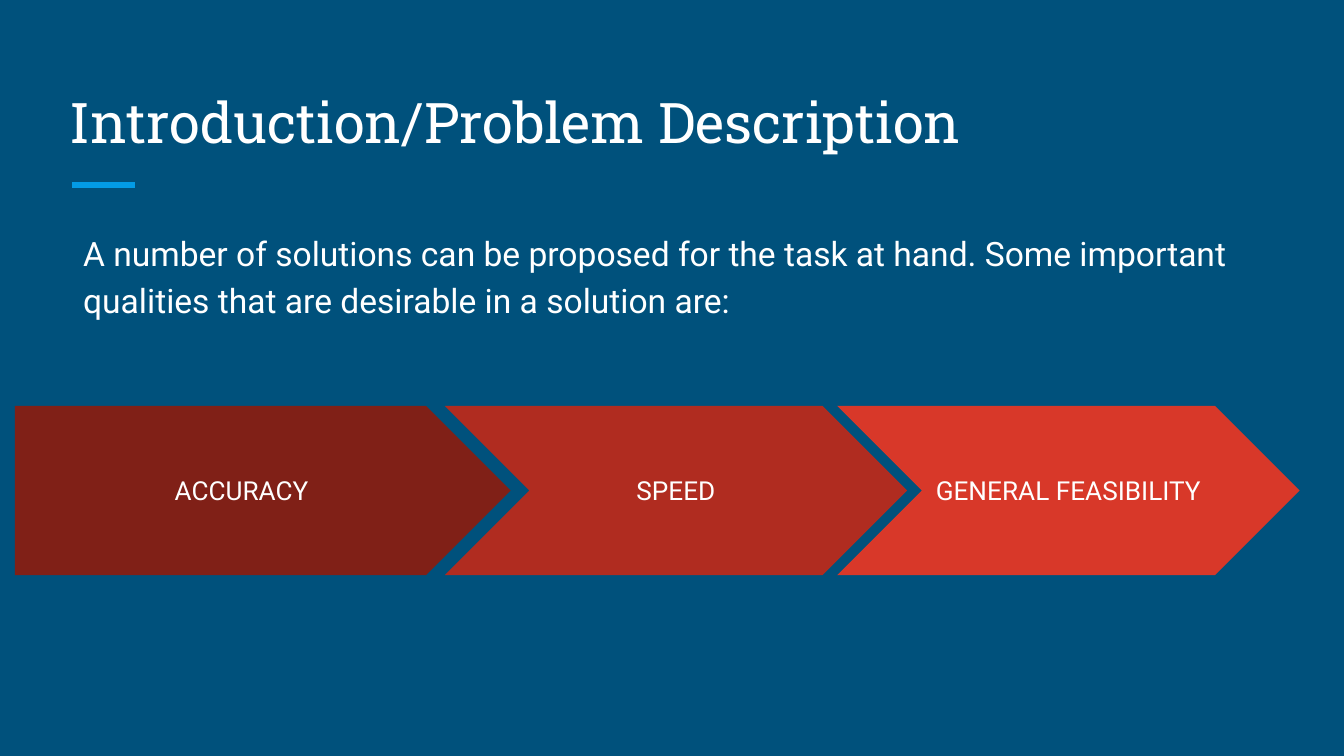
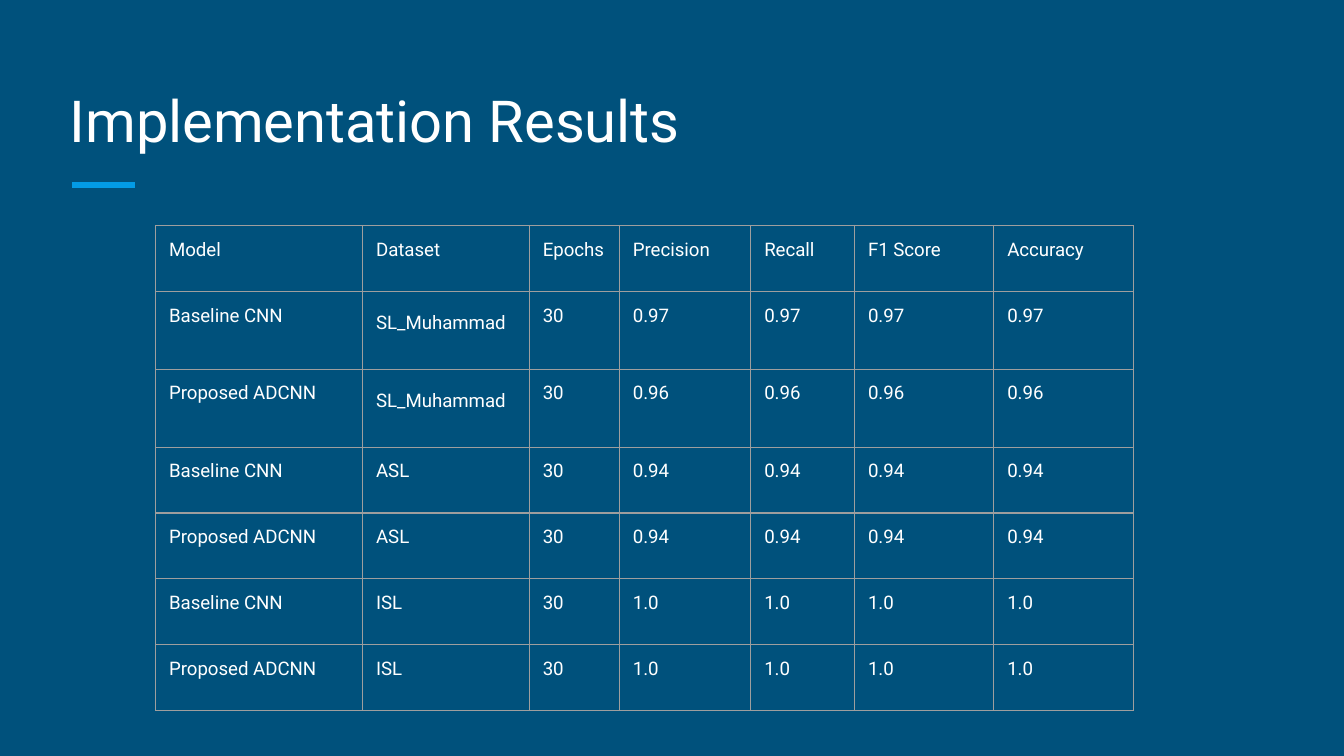
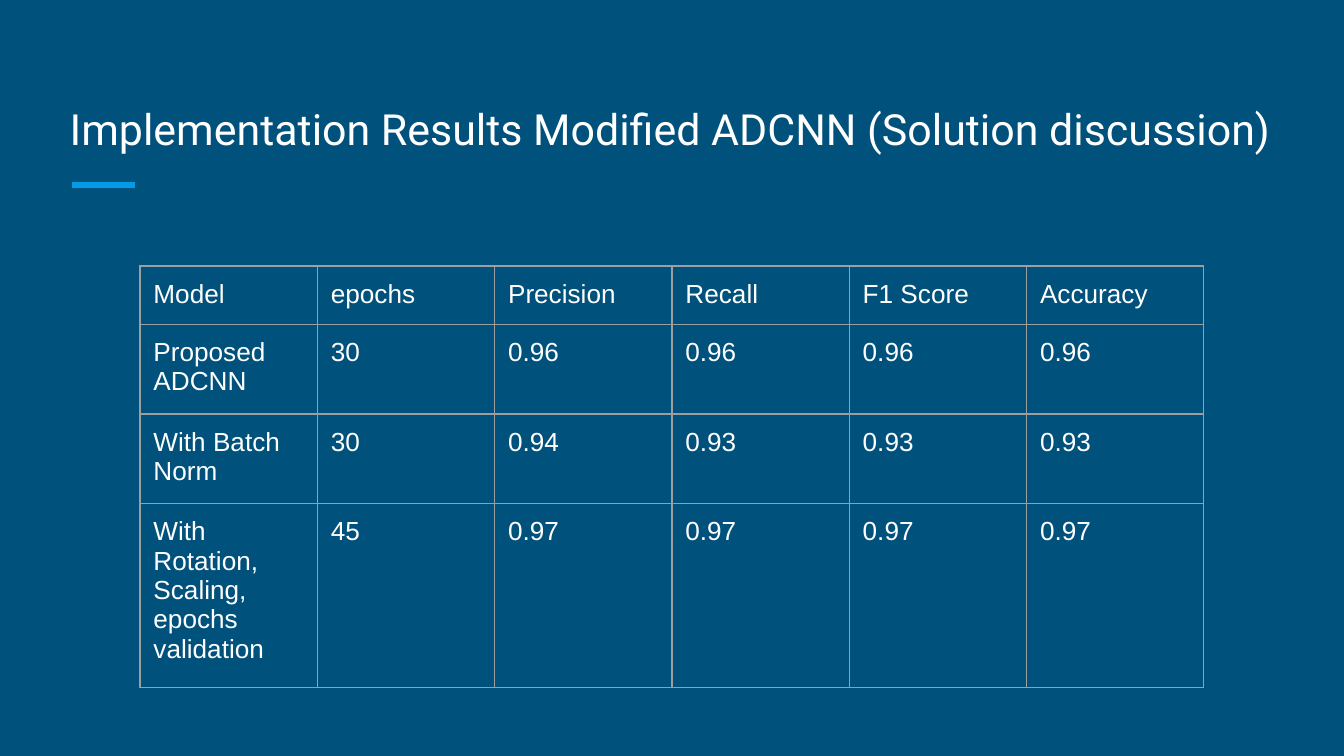
from dataclasses import dataclass

from lxml.etree import SubElement
from pptx import Presentation
from pptx.dml.color import RGBColor
from pptx.enum.shapes import MSO_CONNECTOR, MSO_SHAPE
from pptx.enum.text import MSO_ANCHOR, PP_ALIGN
from pptx.oxml import parse_xml
from pptx.oxml.ns import nsdecls, qn
from pptx.presentation import Presentation as PresentationType
from pptx.slide import Slide
from pptx.table import Table, _Cell
from pptx.text.text import TextFrame
from pptx.util import Pt


@dataclass(frozen=True)
class Theme:
    background: str = "00517C"
    text: str = "FFFFFF"
    accent: str = "039BE5"
    border: str = "9E9E9E"
    dark_red: str = "802017"
    middle_red: str = "B02C20"
    bright_red: str = "D83829"
    sans: str = "Roboto"
    slab: str = "Roboto Slab"
    table_sans: str = "Arial"
    title_size: float = 30
    large_title_size: float = 31
    small_title_size: float = 23
    body_size: float = 18
    label_size: float = 14
    small_size: float = 10
    inset: float = 7.2
    border_width: float = 0.75


THEME = Theme()


@dataclass(frozen=True)
class TextStyle:
    font: str
    size: float
    alignment: PP_ALIGN = PP_ALIGN.LEFT
    anchor: MSO_ANCHOR = MSO_ANCHOR.TOP
    line_spacing: float | None = None


@dataclass(frozen=True)
class Box:
    left: float
    top: float
    width: float
    height: float


@dataclass(frozen=True)
class Step:
    label: str
    outline: MSO_SHAPE
    color: str
    left: float
    width: float


@dataclass(frozen=True)
class ResultTable:
    left: float
    top: float
    column_widths: list[float]
    row_heights: list[float]
    rows: list[tuple[str, ...]]
    style: TextStyle


TITLE_BOX = Box(30.24, 36, 658.8, 54)
BODY_BOX = Box(37.44, 114.48, 658.8, 242.64)

# Process steps: equal chevrons after a wider starting plate
STEP_TOP, STEP_HEIGHT = 217.44, 90.72
CHEVRON_LEFT, CHEVRON_WIDTH, CHEVRON_PITCH = 238.32, 247.68, 210.24
STEPS = [
    Step("ACCURACY", MSO_SHAPE.PENTAGON, THEME.dark_red, 7.92, 265.68),
    Step("SPEED", MSO_SHAPE.CHEVRON, THEME.middle_red, CHEVRON_LEFT, CHEVRON_WIDTH),
    Step("GENERAL FEASIBILITY", MSO_SHAPE.CHEVRON, THEME.bright_red,
         CHEVRON_LEFT + CHEVRON_PITCH, CHEVRON_WIDTH),
]

# Results by dataset: all four scores agree within a row
METRICS = ("Precision", "Recall", "F1 Score", "Accuracy")
MODEL_SCORES = [
    ("Baseline CNN", "SL_Muhammad", "0.97"),
    ("Proposed ADCNN", "SL_Muhammad", "0.96"),
    ("Baseline CNN", "ASL", "0.94"),
    ("Proposed ADCNN", "ASL", "0.94"),
    ("Baseline CNN", "ISL", "1.0"),
    ("Proposed ADCNN", "ISL", "1.0"),
]
DATASET_RESULTS = ResultTable(
    left=83.4, top=120.8,
    column_widths=[110.9, 89.3, 48.3, 70.4, 55.6, 74.6, 74.9],
    row_heights=[35.28, 41.76, 41.76] + [35.28] * 4,
    rows=[("Model", "Dataset", "Epochs", *METRICS)]
    + [(model, dataset, "30", *[score] * len(METRICS))
       for model, dataset, score in MODEL_SCORES],
    style=TextStyle(THEME.sans, THEME.small_size),
)
LOOSE_LINE_SPACING = 1.36

MODIFIED_RESULTS = ResultTable(
    left=75, top=142.5,
    column_widths=[95] * 6,
    row_heights=[30.24] * 4,
    rows=[
        ("Model", "epochs", *METRICS),
        ("Proposed ADCNN", "30", "0.96", "0.96", "0.96", "0.96"),
        ("With Batch Norm", "30", "0.94", "0.93", "0.93", "0.93"),
        ("With Rotation,\nScaling, epochs validation", "45", "0.97", "0.97", "0.97", "0.97"),
    ],
    style=TextStyle(THEME.table_sans, THEME.label_size),
)


def color_of(value: str) -> RGBColor:
    return RGBColor.from_string(value)


def write_text(frame: TextFrame, text: str, style: TextStyle) -> None:
    frame.text = text
    for paragraph in frame.paragraphs:
        paragraph.alignment = style.alignment
        if style.line_spacing:
            paragraph.line_spacing = style.line_spacing
        paragraph.font.name = style.font
        paragraph.font.size = Pt(style.size)
        paragraph.font.color.rgb = color_of(THEME.text)


def set_frame(frame: TextFrame, anchor: MSO_ANCHOR) -> None:
    frame.word_wrap = True
    frame.vertical_anchor = anchor
    frame.margin_left = frame.margin_right = Pt(THEME.inset)
    frame.margin_top = frame.margin_bottom = Pt(THEME.inset)


def add_text(slide: Slide, box: Box, text: str, style: TextStyle) -> None:
    shape = slide.shapes.add_textbox(Pt(box.left), Pt(box.top), Pt(box.width), Pt(box.height))
    set_frame(shape.text_frame, style.anchor)
    write_text(shape.text_frame, text, style)


def add_titled_slide(presentation: PresentationType, title: str, font: str, size: float) -> Slide:
    slide = presentation.slides.add_slide(presentation.slide_layouts[6])
    slide.background.fill.solid()
    slide.background.fill.fore_color.rgb = color_of(THEME.background)
    # Accent rule under the title
    rule = slide.shapes.add_connector(MSO_CONNECTOR.STRAIGHT, Pt(38.6), Pt(99), Pt(72.3), Pt(99))
    rule.line.color.rgb = color_of(THEME.accent)
    rule.line.width = Pt(3)
    SubElement(rule._element.spPr, qn("a:effectLst"))
    add_text(slide, TITLE_BOX, title, TextStyle(font, size, anchor=MSO_ANCHOR.BOTTOM))
    return slide


def add_step(slide: Slide, step: Step) -> None:
    shape = slide.shapes.add_shape(
        step.outline, Pt(step.left), Pt(STEP_TOP), Pt(step.width), Pt(STEP_HEIGHT))
    shape.shadow.inherit = False
    shape.adjustments[0] = 0.5
    shape.fill.solid()
    shape.fill.fore_color.rgb = color_of(step.color)
    shape.line.fill.background()
    set_frame(shape.text_frame, MSO_ANCHOR.MIDDLE)
    write_text(shape.text_frame, step.label,
               TextStyle(THEME.sans, THEME.label_size, PP_ALIGN.CENTER))


def style_cell(cell: _Cell) -> None:
    cell.fill.background()
    cell.margin_left = cell.margin_right = Pt(THEME.inset)
    cell.margin_top = cell.margin_bottom = Pt(THEME.inset)
    # Borders come before the fill in the cell properties
    properties = cell._tc.get_or_add_tcPr()
    for index, side in enumerate(("lnL", "lnR", "lnT", "lnB")):
        properties.insert(index, parse_xml(
            f'<a:{side} {nsdecls("a")} w="{Pt(THEME.border_width)}"><a:solidFill>'
            f'<a:srgbClr val="{THEME.border}"/></a:solidFill></a:{side}>'))


def add_results(slide: Slide, results: ResultTable) -> Table:
    frame = slide.shapes.add_table(
        len(results.rows), len(results.column_widths), Pt(results.left), Pt(results.top),
        Pt(sum(results.column_widths)), Pt(sum(results.row_heights)))
    table = frame.table
    table.first_row = table.horz_banding = False
    for column, width in zip(table.columns, results.column_widths):
        column.width = Pt(width)
    for row, height, values in zip(table.rows, results.row_heights, results.rows):
        row.height = Pt(height)
        for cell, value in zip(row.cells, values):
            style_cell(cell)
            write_text(cell.text_frame, value, results.style)
    return table


def main() -> None:
    presentation = Presentation()
    presentation.slide_width, presentation.slide_height = Pt(720), Pt(405)

    # Introduction
    slide = add_titled_slide(
        presentation, "Introduction/Problem Description", THEME.slab, THEME.title_size)
    add_text(slide, BODY_BOX,
             "A number of solutions can be proposed for the task at hand. "
             "Some important qualities that are desirable in a solution are:",
             TextStyle(THEME.sans, THEME.body_size, line_spacing=1.15))
    for step in STEPS:
        add_step(slide, step)

    # Results by dataset
    slide = add_titled_slide(
        presentation, "Implementation Results", THEME.sans, THEME.large_title_size)
    table = add_results(slide, DATASET_RESULTS)
    for row in (1, 2):
        table.cell(row, 1).text_frame.paragraphs[0].line_spacing = LOOSE_LINE_SPACING

    # Results of the modified model
    slide = add_titled_slide(
        presentation, "Implementation Results Modified ADCNN (Solution discussion)",
        THEME.sans, THEME.small_title_size)
    add_results(slide, MODIFIED_RESULTS)

    presentation.save("out.pptx")


if __name__ == "__main__":
    main()
